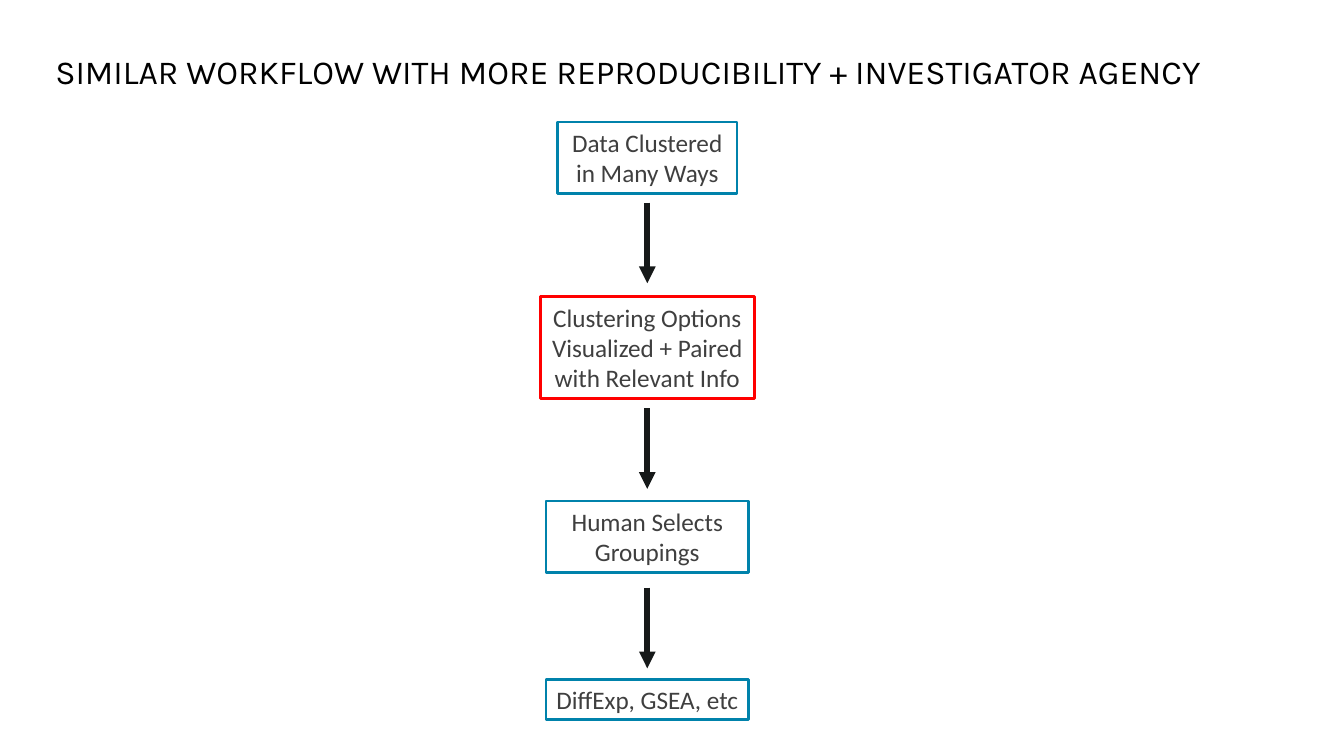
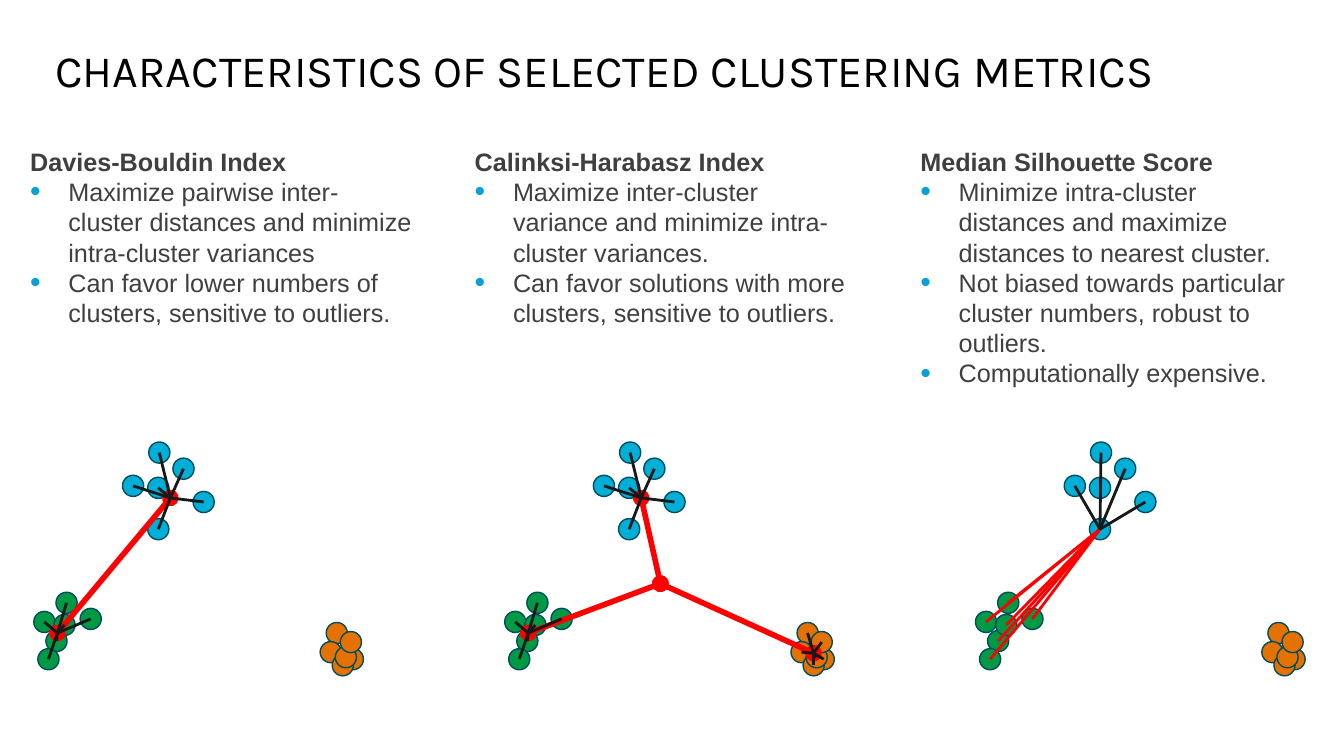
import lxml.etree
import pptx
import pptx.dml.color
import pptx.enum.shapes
import pptx.enum.text
import pptx.oxml.ns
import pptx.util

Inches = pptx.util.Inches
Pt = pptx.util.Pt
RGBColor = pptx.dml.color.RGBColor
SHAPE = pptx.enum.shapes.MSO_SHAPE
qn = pptx.oxml.ns.qn

BLACK = RGBColor(0x00, 0x00, 0x00)
INK = RGBColor(0x16, 0x19, 0x19)
GREY = RGBColor(0x3F, 0x3F, 0x3F)
RED = RGBColor(0xFF, 0x00, 0x00)
TEAL = RGBColor(0x00, 0x82, 0xAB)
DOT_EDGE = RGBColor(0x00, 0x4D, 0x5E)
BLUE = RGBColor(0x00, 0xAF, 0xD7)
GREEN = RGBColor(0x00, 0x9A, 0x44)
ORANGE = RGBColor(0xE5, 0x72, 0x00)
BULLET = "08A0D6"


def style(p, font, size, color, bold=False):
    for r in p.runs:
        r.font.name = font
        r.font.size = Pt(size)
        r.font.color.rgb = color
        r.font.bold = bold


def add_line(shapes, start, end, color, width, head=None, tail=None):
    line = shapes.add_connector(
        pptx.enum.shapes.MSO_CONNECTOR.STRAIGHT,
        *[Inches(v) for v in (*start, *end)])
    line.line.color.rgb = color
    line.line.width = Pt(width)
    spPr = line._element.spPr
    ln = spPr.find(qn("a:ln"))
    for tag, kind in (("a:headEnd", head), ("a:tailEnd", tail)):
        if kind:
            lxml.etree.SubElement(ln, qn(tag), type=kind)
    lxml.etree.SubElement(spPr, qn("a:effectLst"))


prs = pptx.Presentation()
prs.slide_width = Inches(13.33)
prs.slide_height = Inches(7.5)

# Slides and their titles
slides = []
for title, size in (
        ("SIMILAR WORKFLOW WITH MORE REPRODUCIBILITY + INVESTIGATOR AGENCY", 24),
        ("CHARACTERISTICS OF SELECTED CLUSTERING METRICS", 32)):
    s = prs.slides.add_slide(prs.slide_layouts[6])
    tf = s.shapes.add_textbox(
        Inches(0.45), Inches(0.4), Inches(12.43), Inches(0.65)).text_frame
    tf.word_wrap = True
    tf.vertical_anchor = pptx.enum.text.MSO_ANCHOR.MIDDLE
    p = tf.paragraphs[0]
    p.text = title
    p.line_spacing = 0.9
    style(p, "Karla", size, BLACK)
    slides.append(s)
workflow, metrics = slides

# Workflow: boxes centred on one axis
AXIS = 6.42
for text, top, width, height, color in (
        ("Data Clustered in Many Ways", 1.21, 1.78, 0.71, TEAL),
        ("Clustering Options Visualized + Paired with Relevant Info",
         2.94, 2.12, 1.01, RED),
        ("Human Selects Groupings", 4.97, 2.01, 0.71, TEAL),
        ("DiffExp, GSEA, etc", 6.74, 2.01, 0.4, TEAL)):
    sp = workflow.shapes.add_shape(
        SHAPE.RECTANGLE, Inches(AXIS - width / 2), Inches(top),
        Inches(width), Inches(height))
    sp.shadow.inherit = False
    sp.fill.background()
    sp.line.color.rgb = color
    sp.line.width = Pt(2)
    sp.text_frame.word_wrap = True
    p = sp.text_frame.paragraphs[0]
    p.text = text
    p.alignment = pptx.enum.text.PP_ALIGN.CENTER
    style(p, "Calibri", 18, GREY)

# Workflow: arrows between the boxes
for top in (2.01, 4.05, 5.83):
    add_line(workflow.shapes, (AXIS, top), (AXIS, top + 0.8), INK, 4,
             tail="triangle")

# Metrics: text columns
for left, width, height, heading, points in (
        (0.2, 3.99, 1.92, "Davies-Bouldin Index", (
            "Maximize pairwise inter-cluster distances and minimize "
            "intra-cluster variances",
            "Can favor lower numbers of clusters, sensitive to outliers.")),
        (4.61, 4.01, 1.92, "Calinksi-Harabasz Index", (
            "Maximize inter-cluster variance and minimize "
            "intra-cluster variances.",
            "Can favor solutions with more clusters, sensitive to outliers.")),
        (9.03, 4.01, 2.52, "Median Silhouette Score", (
            "Minimize intra-cluster distances and maximize distances "
            "to nearest cluster.",
            "Not biased towards particular cluster numbers, "
            "robust to outliers.",
            "Computationally expensive."))):
    tf = metrics.shapes.add_textbox(
        Inches(left), Inches(1.4), Inches(width), Inches(height)).text_frame
    tf.word_wrap = True
    tf.paragraphs[0].text = heading
    style(tf.paragraphs[0], "Arial", 18, GREY, bold=True)
    for point in points:
        p = tf.add_paragraph()
        p.text = point
        pPr = p._p.get_or_add_pPr()
        pPr.set("marL", str(Inches(0.38)))
        pPr.set("indent", str(-Inches(0.38)))
        buClr = lxml.etree.SubElement(pPr, qn("a:buClr"))
        lxml.etree.SubElement(buClr, qn("a:srgbClr"), val=BULLET)
        lxml.etree.SubElement(pPr, qn("a:buSzPct"), val="120000")
        lxml.etree.SubElement(pPr, qn("a:buFont"), typeface="Arial")
        lxml.etree.SubElement(pPr, qn("a:buChar"), char="•")
        style(p, "Arial", 18, GREY)

# Metrics: dot centres, measured in the first diagram
DOT = 0.21
blue = [(1.58, 4.49), (1.32, 4.82), (2.02, 4.98),
        (1.57, 5.25), (1.57, 4.84), (1.82, 4.65)]
green = [(0.66, 5.98), (0.44, 6.17), (0.56, 6.36),
         (0.48, 6.54), (0.64, 6.2), (0.9, 6.14)]
orange = [(3.34, 6.28), (3.28, 6.47), (3.5, 6.54),
          (3.4, 6.6), (3.43, 6.52), (3.48, 6.37)]
blue_hub, green_hub, orange_hub = (1.69, 4.94), (0.57, 6.28), (3.4, 6.48)
middle = (1.88, 5.79)
nearest = blue[3]

# Each diagram: red links, their width and ends, then spokes of hub and dots
diagrams = [
    ([(blue_hub, green_hub)], 4, "oval",
     [(green_hub, green), (blue_hub, blue)]),
    ([(middle, hub) for hub in (green_hub, blue_hub, orange_hub)], 4, "oval",
     [(green_hub, green), (blue_hub, blue), (orange_hub, orange)]),
    ([(dot, nearest) for dot in green], 2, None,
     [(nearest, [dot for dot in blue if dot != nearest])]),
]
for i, (links, link_width, link_end, spokes) in enumerate(diagrams):
    dx = 4.67 * i
    shapes = metrics.shapes.add_group_shape().shapes
    for dots, color in ((blue, BLUE), (green, GREEN), (orange, ORANGE)):
        for x, y in dots:
            sp = shapes.add_shape(
                SHAPE.OVAL, Inches(x + dx - DOT / 2), Inches(y - DOT / 2),
                Inches(DOT), Inches(DOT))
            sp.shadow.inherit = False
            sp.fill.solid()
            sp.fill.fore_color.rgb = color
            sp.line.color.rgb = DOT_EDGE
            sp.line.width = Pt(1)
    for (x1, y1), (x2, y2) in links:
        add_line(shapes, (x1 + dx, y1), (x2 + dx, y2), RED, link_width,
                 head=link_end, tail=link_end)
    for (hub_x, hub_y), dots in spokes:
        for x, y in dots:
            add_line(shapes, (hub_x + dx, hub_y), (x + dx, y), INK, 2)

prs.save("out.pptx")
